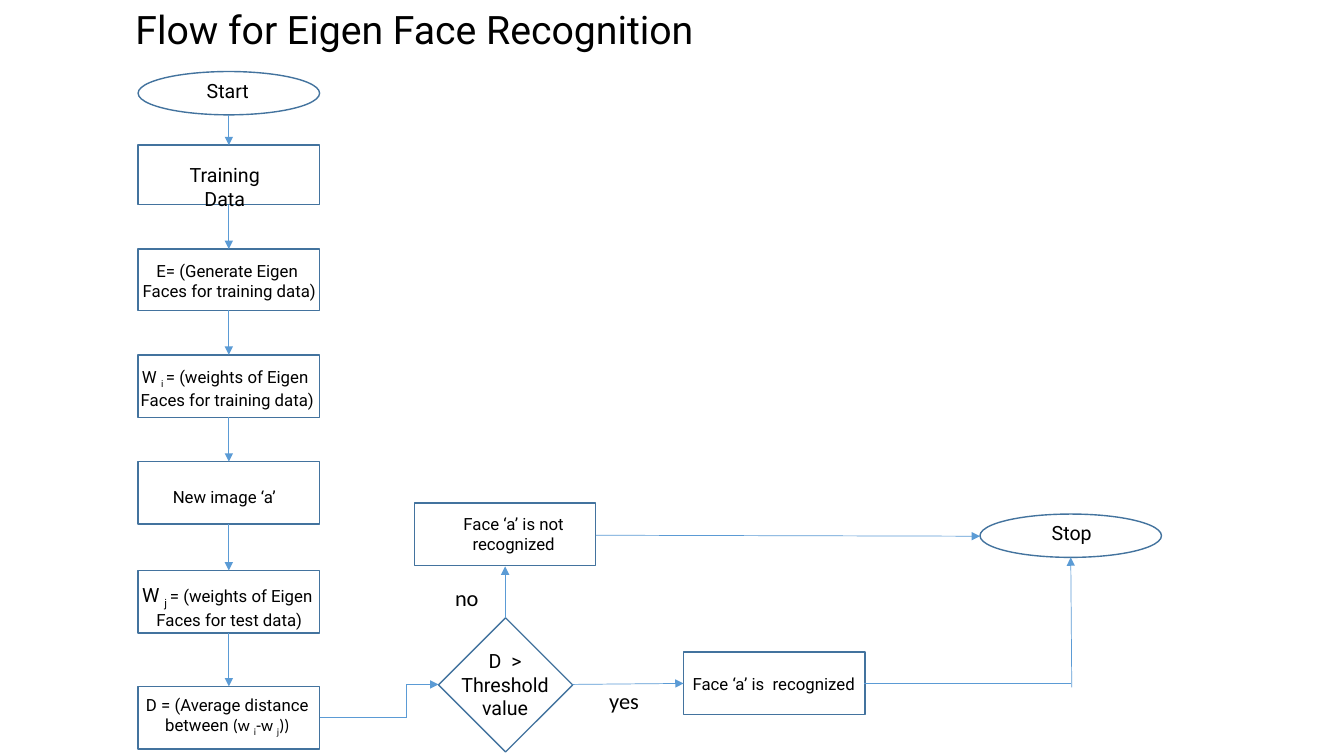
from lxml import etree
from pptx import Presentation
from pptx.dml.color import RGBColor
from pptx.enum.shapes import MSO_CONNECTOR, MSO_SHAPE as SHAPE
from pptx.enum.text import MSO_ANCHOR, MSO_AUTO_SIZE, PP_ALIGN
from pptx.oxml.ns import qn
from pptx.util import Inches, Pt

BLACK = RGBColor(0x00, 0x00, 0x00)
WHITE = RGBColor(0xFF, 0xFF, 0xFF)
OUTLINE = RGBColor(0x43, 0x73, 0x9E)
ARROW = RGBColor(0x5B, 0x9B, 0xD5)
BOX_W, BOX_H, OVAL_H = 1.8, 0.62, 0.43
SUB = {"baseline": -25}


def add_run(p, text, size=12, font="Roboto", color=BLACK, baseline=0):
    r = p.add_run()
    r.text = text
    r.font.size = Pt(size)
    r.font.name = font
    r.font.color.rgb = color
    if baseline:
        r._r.get_or_add_rPr().set("baseline", str(baseline * 1000))


class FlowSlide:
    """Holds the flow chart style and the slide being drawn."""

    def __init__(self, prs):
        self.s = prs.slides.add_slide(prs.slide_layouts[5])

    def fill_text(self, sp, lines, wrap, **style):
        """Each line is a string or a list of (text, format) runs."""
        tf = sp.text_frame
        tf.word_wrap = wrap
        tf.auto_size = MSO_AUTO_SIZE.SHAPE_TO_FIT_TEXT
        tf.vertical_anchor = MSO_ANCHOR.TOP
        for i, line in enumerate(lines):
            p = tf.add_paragraph() if i else tf.paragraphs[0]
            p.alignment = PP_ALIGN.CENTER
            runs = [(line, {})] if isinstance(line, str) else line
            for text, fmt in runs:
                add_run(p, text, **{**style, **fmt})

    def title(self, text, x, y, w, h):
        sp = self.s.shapes.title
        sp.left, sp.top, sp.width, sp.height = map(Inches, (x, y, w, h))
        self.fill_text(sp, [text], False, size=28)

    def node(self, kind, x, y, w=BOX_W, h=BOX_H):
        sp = self.s.shapes.add_shape(kind, *map(Inches, (x, y, w, h)))
        sp.shadow.inherit = False
        sp.fill.solid()
        sp.fill.fore_color.rgb = WHITE
        sp.line.color.rgb = OUTLINE
        sp.line.width = Pt(1)

    def label(self, lines, x, y, w=1.97, h=0.5, wrap=True, **style):
        sp = self.s.shapes.add_textbox(*map(Inches, (x, y, w, h)))
        self.fill_text(sp, lines, wrap, **style)

    def line(self, x1, y1, x2, y2, arrow=True):
        c = self.s.shapes.add_connector(
            MSO_CONNECTOR.STRAIGHT, *map(Inches, (x1, y1, x2, y2)))
        c.line.color.rgb = ARROW
        c.line.width = Pt(0.5)
        if arrow:
            etree.SubElement(c.line._get_or_add_ln(), qn("a:tailEnd"), type="triangle")
        etree.SubElement(c._element.spPr, qn("a:effectLst"))


def main():
    prs = Presentation()
    prs.slide_width, prs.slide_height = Inches(13.33), Inches(7.5)
    flow = FlowSlide(prs)
    flow.title("Flow for Eigen Face Recognition", 1.2, 0, 5.82, 0.57)

    # Left column: nodes joined by downward arrows
    column_x, column_mid = 1.37, 2.27
    steps = [(0.71, OVAL_H), (1.44, 0.59), (2.47, 0.61), (3.52, BOX_H),
             (4.58, BOX_H), (5.66, BOX_H), (6.81, BOX_H)]
    for i, (y, h) in enumerate(steps):
        flow.node(SHAPE.RECTANGLE if i else SHAPE.OVAL, column_x, y, h=h)
    for (y, h), (next_y, _) in zip(steps, steps[1:]):
        flow.line(column_mid, y + h, column_mid, next_y)

    # Decision and outcomes
    flow.node(SHAPE.DIAMOND, 4.35, 6.13, 1.33, 1.33)
    flow.node(SHAPE.RECTANGLE, 6.78, 6.47)
    flow.node(SHAPE.RECTANGLE, 4.11, 4.99)
    flow.node(SHAPE.OVAL, 9.72, 5.1, h=OVAL_H)

    # Branch lines
    flow.line(3.17, 7.12, 4.03, 7.12, arrow=False)
    flow.line(4.03, 7.12, 4.03, 6.79, arrow=False)
    flow.line(4.03, 6.79, 4.35, 6.79)
    flow.line(5.01, 6.13, 5.01, 5.62)
    flow.line(5.68, 6.79, 6.78, 6.78)
    flow.line(8.57, 6.78, 10.62, 6.78, arrow=False)
    flow.line(10.63, 6.82, 10.62, 5.53)
    flow.line(5.91, 5.31, 9.72, 5.32)

    # Column wording
    weights = ("= (weights of Eigen ", {})
    body = {"font": "Calibri"}
    body_sub = {**body, **SUB}
    flow.label(["Start"], 1.94, 0.73, 0.64, 0.34, wrap=False, size=14)
    flow.label(["Training Data"], 1.63, 1.57, 1.2, 0.57, size=14)
    flow.label(["E= (Generate Eigen ", "Faces for training data)"], 1.29, 2.54)
    flow.label([[("W ", {}), ("i ", SUB), weights], "Faces for training data)"],
               1.27, 3.59)
    flow.label(["New image ‘a’"], 1.24, 4.78, h=0.3)
    flow.label([[("W ", {"size": 14}), ("j ", {"size": 14, **SUB}), weights],
                "Faces for test data)"], 1.29, 5.73, h=0.54)
    flow.label([[("D = (Average distance between ", {}), ("(w ", body),
                 ("i", body_sub), ("-w ", body), ("j", body_sub), ("))", body)]],
               1.27, 6.84)

    # Decision and outcome wording
    flow.label(["D  >", "Threshold", "value"], 4.47, 6.39, 1.08, 0.81,
               wrap=False, size=14)
    flow.label(["Face ‘a’ is not recognized"], 4.11, 5.05)
    flow.label(["Face ‘a’ is  recognized"], 6.69, 6.63, h=0.3)
    flow.label(["Stop"], 10.33, 5.12, 0.6, 0.34, wrap=False, size=14)
    flow.label(["no"], 4.41, 5.75, 0.44, 0.37, wrap=False, size=16, font="Calibri")
    flow.label(["yes"], 5.94, 6.77, 0.5, 0.37, wrap=False, size=16, font="Calibri")

    prs.save("out.pptx")


if __name__ == "__main__":
    main()
